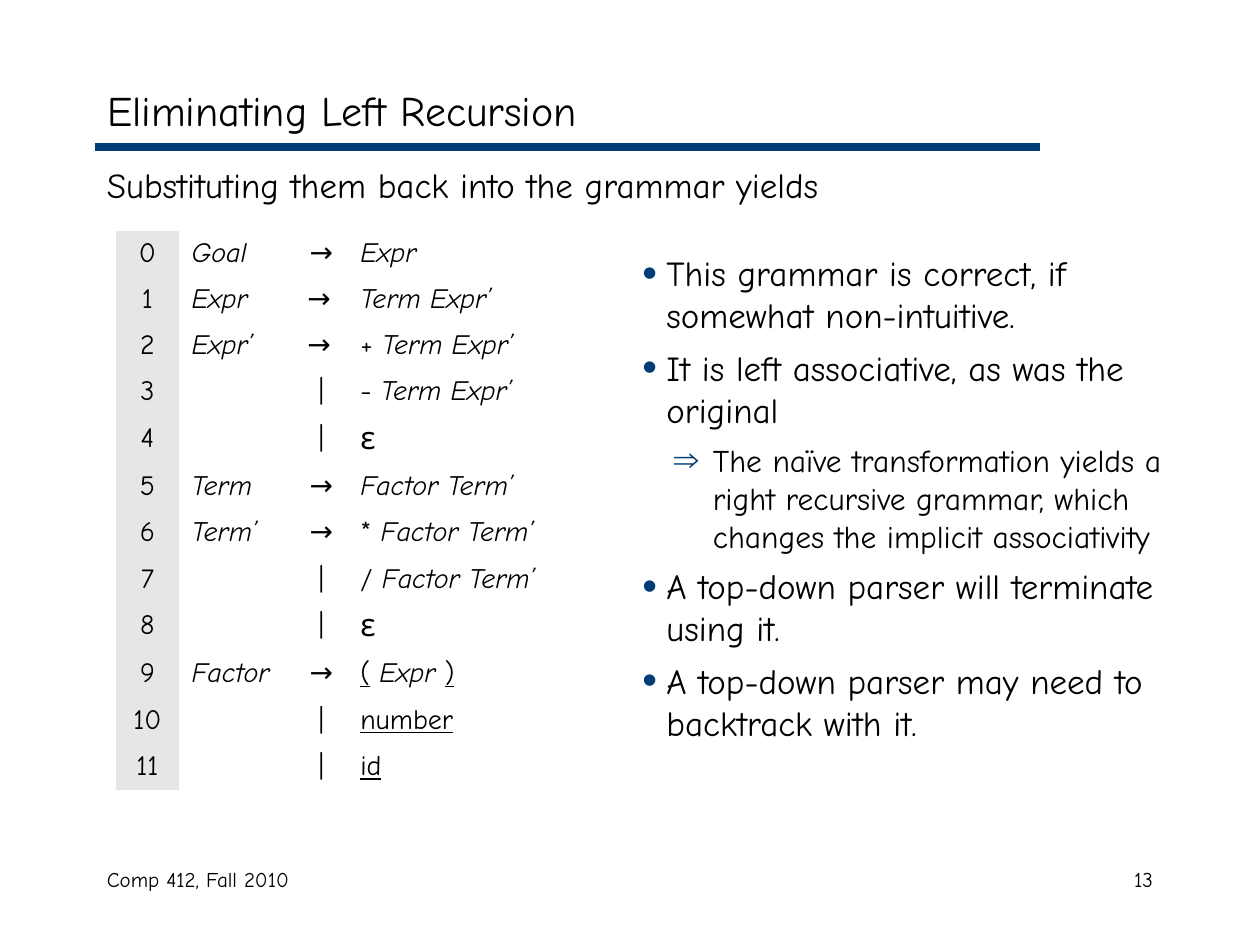
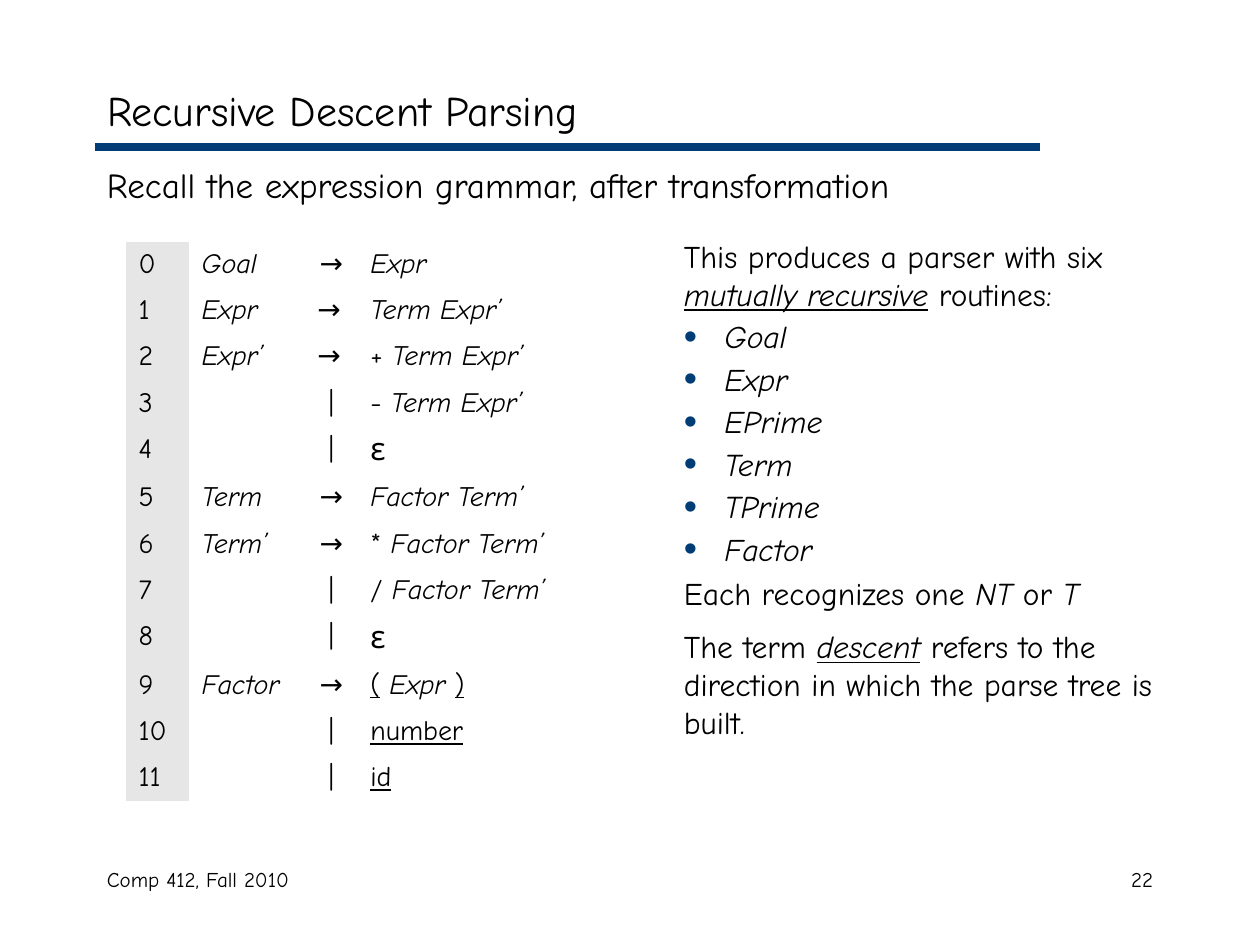
from pptx import Presentation
from pptx.dml.color import RGBColor
from pptx.enum.shapes import MSO_CONNECTOR
from pptx.enum.text import MSO_ANCHOR, PP_ALIGN
from pptx.oxml.ns import qn
from pptx.util import Inches, Pt
from lxml.etree import SubElement

FONT = "Comic Neue"
BLACK, NAVY, GREY = "000000", "003C75", "E6E6E6"
NO_STYLE = "{2D5ABB26-0587-4C30-8999-92F81FD0307C}"


def color(value):
    return RGBColor.from_string(value)


def write(paragraph, text, size=18, italic=False, underline=False):
    run = paragraph.add_run()
    run.text = text
    run.font.name = FONT
    run.font.size = Pt(size)
    run.font.italic = italic
    run.font.underline = underline
    run.font.color.rgb = color(BLACK)


def write_parts(paragraph, parts, size):
    """Each part is plain text or a pair of text and style letters (i, u)."""
    for part in [parts] if isinstance(parts, str) else parts:
        text, style = (part, "") if isinstance(part, str) else part
        write(paragraph, text, size=size, italic="i" in style, underline="u" in style)


def add_bullet(paragraph, character, percent, left, hanging):
    properties = paragraph._p.get_or_add_pPr()
    properties.set("marL", str(Inches(left)))
    properties.set("indent", str(-Inches(hanging)))
    bullet_color = SubElement(properties, qn("a:buClr"))
    SubElement(bullet_color, qn("a:srgbClr"), val=NAVY)
    SubElement(properties, qn("a:buSzPct"), val=str(percent * 1000))
    SubElement(properties, qn("a:buFont"), typeface="Arial")
    SubElement(properties, qn("a:buChar"), char=character)


# The transformed expression grammar: left side, symbol, right side
ARROW, BAR, EPSILON = "→", "|", "ε"
GRAMMAR = [
    ("Goal", ARROW, [("Expr", "i")]),
    ("Expr", ARROW, [("Term Expr’", "i")]),
    ("Expr’", ARROW, ["+ ", ("Term Expr’", "i")]),
    ("", BAR, ["- ", ("Term Expr’", "i")]),
    ("", BAR, EPSILON),
    ("Term", ARROW, [("Factor Term’", "i")]),
    ("Term’", ARROW, ["* ", ("Factor Term’", "i")]),
    ("", BAR, ["/ ", ("Factor Term’", "i")]),
    ("", BAR, EPSILON),
    ("Factor", ARROW, [("(", "u"), " ", ("Expr ", "i"), (")", "u")]),
    ("", BAR, [("number", "u")]),
    ("", BAR, [("id", "u")]),
]
LEFT_ARROW_ROWS = (1, 2)
COLUMN_WIDTHS = (0.5, 0.92, 0.42, 1.75)
ROW_HEIGHT, EPSILON_HEIGHT = 4.4 / 12, 0.38


class Deck:
    def __init__(self):
        self.presentation = Presentation()
        self.presentation.slide_width = Inches(10)
        self.presentation.slide_height = Inches(7.5)
        self.slide = None

    def start_slide(self, title, lead, number):
        self.slide = self.presentation.slides.add_slide(self.presentation.slide_layouts[5])
        # Title
        shape = self.slide.shapes.title
        shape.left, shape.top = Inches(0.75), Inches(0.58)
        shape.width, shape.height = Inches(8.5), Inches(0.58)
        shape.text_frame.vertical_anchor = MSO_ANCHOR.MIDDLE
        paragraph = shape.text_frame.paragraphs[0]
        paragraph.alignment = PP_ALIGN.LEFT
        write(paragraph, title, size=24)
        # Rule, lead sentence and footer
        self.rule(0.75, 8.25, 1.17)
        self.text(0.75, 1.25, 8.5, 0.5, [{"parts": lead, "size": 20}])
        self.text(0.75, 6.83, 3.17, 0.5, [{"parts": "Comp 412, Fall 2010", "size": 12}])
        self.text(7.17, 6.83, 2.08, 0.5, [{"parts": number, "size": 12}], PP_ALIGN.RIGHT)

    def rule(self, start, end, top):
        connector = self.slide.shapes.add_connector(
            MSO_CONNECTOR.STRAIGHT, Inches(start), Inches(top), Inches(end), Inches(top))
        connector.line.color.rgb = color(NAVY)
        connector.line.width = Pt(4.5)
        SubElement(connector._element.spPr, qn("a:effectLst"))

    def text(self, left, top, width, height, items, alignment=PP_ALIGN.LEFT):
        box = self.slide.shapes.add_textbox(
            Inches(left), Inches(top), Inches(width), Inches(height))
        frame = box.text_frame
        frame.word_wrap = True
        for index, item in enumerate(items):
            paragraph = frame.add_paragraph() if index else frame.paragraphs[0]
            paragraph.alignment = alignment
            paragraph.level = item.get("level", 0)
            if "bullet" in item:
                add_bullet(paragraph, *item["bullet"])
            if index:
                paragraph.space_before = Pt(item["before"])
            write_parts(paragraph, item["parts"], item["size"])

    def cell(self, cell, parts, alignment=PP_ALIGN.LEFT, fill=None):
        if fill:
            cell.fill.solid()
            cell.fill.fore_color.rgb = color(fill)
        else:
            cell.fill.background()
        paragraph = cell.text_frame.paragraphs[0]
        paragraph.alignment = alignment
        if parts == EPSILON:
            paragraph.line_spacing = 0.95
            write(paragraph, parts, size=18)
        elif parts:
            write_parts(paragraph, parts, 16)
        else:
            # Keeps empty cells from stretching their row
            SubElement(paragraph._p, qn("a:endParaRPr"), sz="1600")

    def grammar(self, left, top, number_alignment):
        frame = self.slide.shapes.add_table(
            len(GRAMMAR), len(COLUMN_WIDTHS), Inches(left), Inches(top),
            Inches(sum(COLUMN_WIDTHS)), Inches(ROW_HEIGHT * len(GRAMMAR)))
        table = frame.table
        table.first_row = table.horz_banding = False
        table._tbl.tblPr.find(qn("a:tableStyleId")).text = NO_STYLE
        for column, width in zip(table.columns, COLUMN_WIDTHS):
            column.width = Inches(width)
        for index, (name, symbol, production) in enumerate(GRAMMAR):
            height = EPSILON_HEIGHT if production == EPSILON else ROW_HEIGHT
            table.rows[index].height = Inches(height)
            symbol_alignment = PP_ALIGN.LEFT if index in LEFT_ARROW_ROWS else PP_ALIGN.CENTER
            self.cell(table.cell(index, 0), str(index), number_alignment, GREY)
            self.cell(table.cell(index, 1), [(name, "i")] if name else "")
            self.cell(table.cell(index, 2), symbol, symbol_alignment)
            self.cell(table.cell(index, 3), production)


def point(text):
    return {"parts": text, "size": 20, "before": 6, "bullet": ("•", 120, 0.19, 0.19)}


def routine(name):
    return {"parts": [(name, "i")], "size": 18, "before": 2.7,
            "bullet": ("•", 120, 0.32, 0.32)}


def build_left_recursion(deck):
    deck.start_slide("Eliminating Left Recursion",
                     "Substituting them back into the grammar yields", "13")
    deck.text(5, 1.95, 4.35, 4.48, [
        point("This grammar is correct, if somewhat non-intuitive."),
        point("It is left associative, as was the original"),
        {"parts": "The naïve transformation yields a right recursive grammar, "
                  "which changes the implicit associativity",
         "size": 18, "before": 6, "level": 1, "bullet": ("⇒", 110, 0.56, 0.31)},
        point("A top-down parser will terminate using it."),
        point("A top-down parser may need to backtrack with it."),
    ])
    deck.grammar(0.92, 1.83, PP_ALIGN.CENTER)


def build_recursive_descent(deck):
    deck.start_slide("Recursive Descent Parsing",
                     "Recall the expression grammar, after transformation", "22")
    routines = ("Goal", "Expr", "EPrime", "Term", "TPrime", "Factor")
    deck.text(5.33, 1.83, 4.17, 4.19, [
        {"parts": ["This produces a parser with six ", ("mutually recursive", "iu"),
                   " routines:"], "size": 18},
        *map(routine, routines),
        {"parts": ["Each recognizes one ", ("NT", "i"), " or ", ("T", "i")],
         "size": 18, "before": 3.6},
        {"parts": ["The term ", ("descent", "iu"),
                   " refers to the direction in which the parse tree is built."],
         "size": 18, "before": 9},
    ])
    deck.grammar(1, 1.92, PP_ALIGN.LEFT)


def main():
    deck = Deck()
    build_left_recursion(deck)
    build_recursive_descent(deck)
    deck.presentation.save("out.pptx")


if __name__ == "__main__":
    main()
